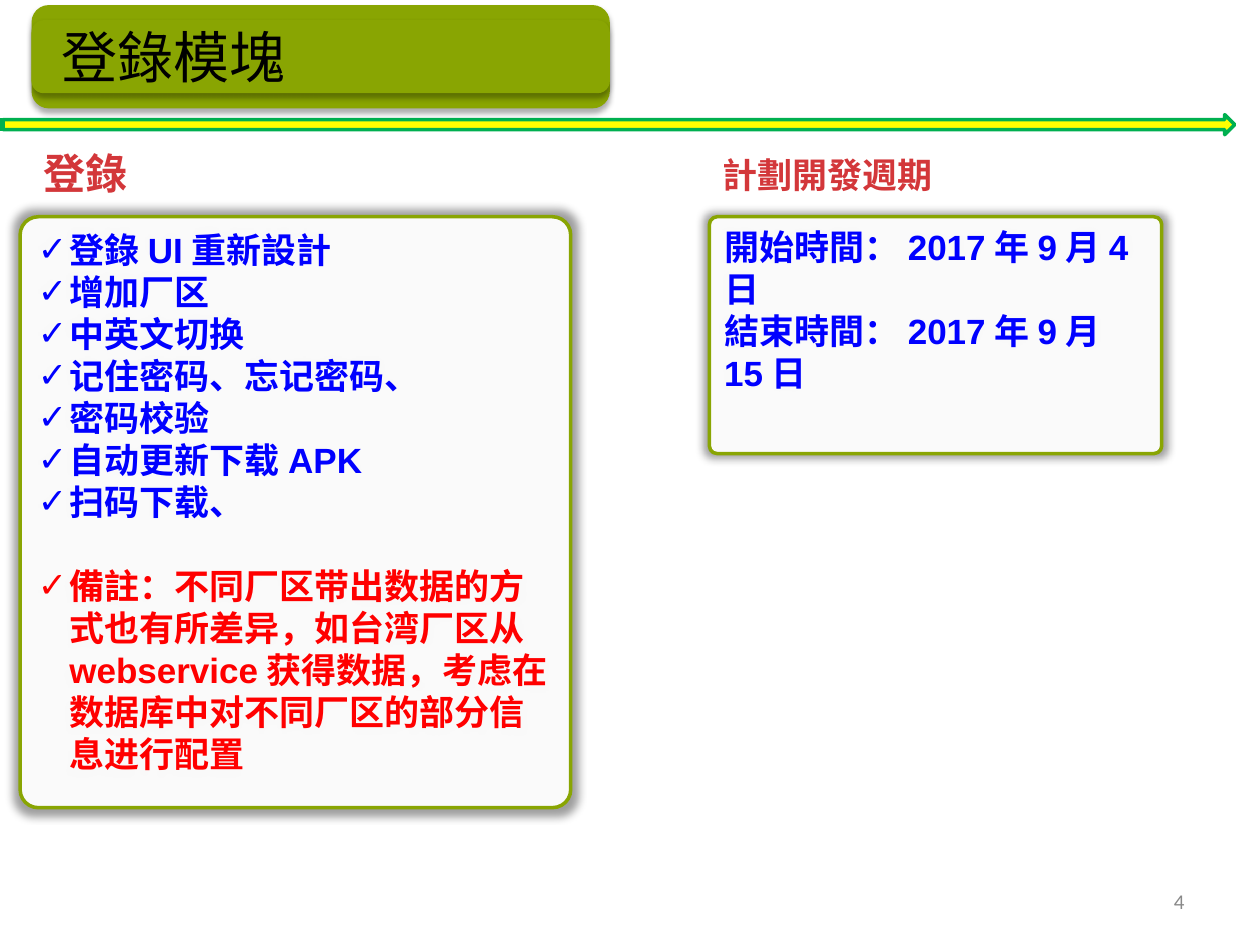
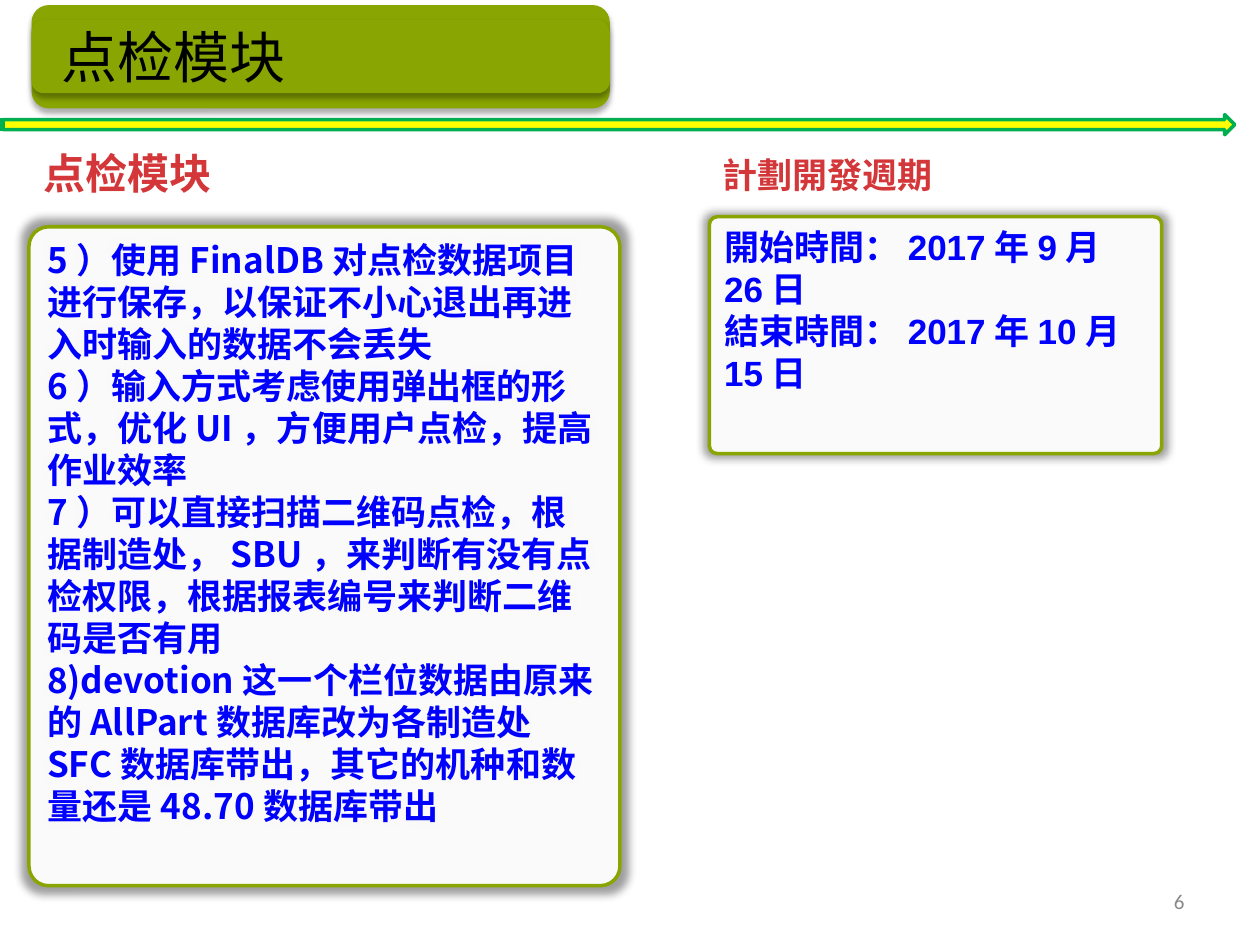
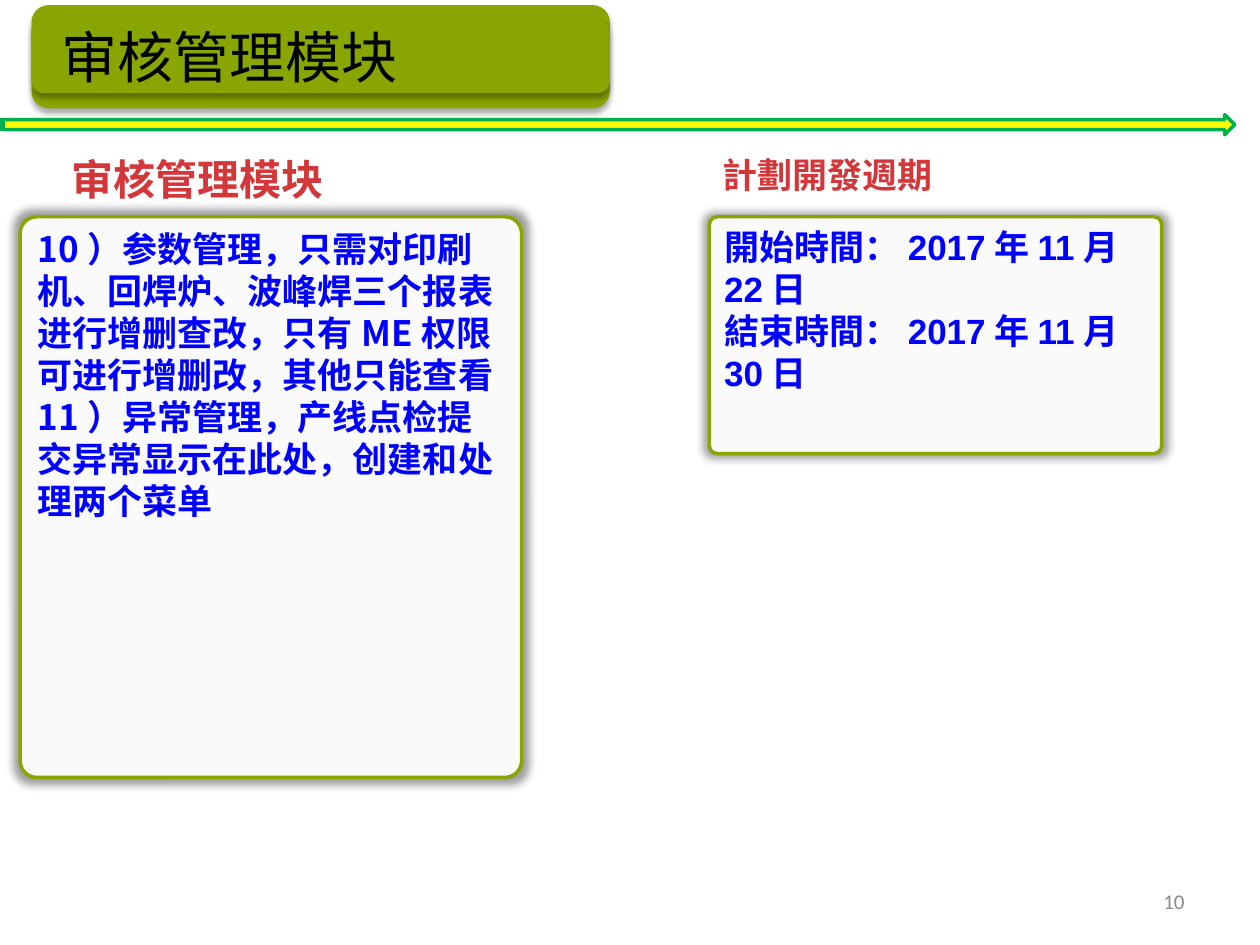
from lxml import etree
from pptx import Presentation
from pptx.dml.color import RGBColor
from pptx.enum.shapes import MSO_SHAPE
from pptx.enum.text import MSO_ANCHOR, PP_ALIGN
from pptx.oxml.ns import qn
from pptx.util import Inches, Pt

ROUND, ARROW = MSO_SHAPE.ROUNDED_RECTANGLE, MSO_SHAPE.STRIPED_RIGHT_ARROW
TOP, MIDDLE = MSO_ANCHOR.TOP, MSO_ANCHOR.MIDDLE
LEFT, CENTER, RIGHT = PP_ALIGN.LEFT, PP_ALIGN.CENTER, PP_ALIGN.RIGHT

WHITE = RGBColor(0xFF, 0xFF, 0xFF)
BLACK = RGBColor(0x00, 0x00, 0x00)
OLIVE = RGBColor(0x89, 0xA5, 0x02)
YELLOW = RGBColor(0xFF, 0xFF, 0x00)
GREEN = RGBColor(0x00, 0xB0, 0x50)
BLUE = RGBColor(0x00, 0x00, 0xFF)
RED = RGBColor(0xFF, 0x00, 0x00)
CRIMSON = RGBColor(0xD3, 0x37, 0x3A)
GREY = RGBColor(0x89, 0x89, 0x89)

SANS, CJK, SMALL = "Arial", "Noto Sans CJK SC", "Calibri"
PLAN = "計劃開發週期"

SLIDES = [
    {
        "title": "登錄模塊", "head": "登錄", "spot": (0.25, 1.12), "page": 4,
        "box": (0.16, 1.72, 4.37, 4.69), "font": SANS, "ticks": True,
        "lines": ["登錄UI重新設計", "增加厂区", "中英文切换", "记住密码、忘记密码、",
                  "密码校验", "自动更新下载APK", "扫码下载、"],
        "note": "備註：不同厂区带出数据的方式也有所差异，如台湾厂区从webservice获得数据，"
                "考虑在数据库中对不同厂区的部分信息进行配置",
        "dates": ("2017年9月4日", "2017年9月15日"),
    },
    {
        "title": "点检模块", "head": "点检模块", "spot": (0.25, 1.12), "page": 6,
        "box": (0.23, 1.8, 4.69, 5.23), "font": CJK,
        "lines": [
            "5）使用FinalDB对点检数据项目进行保存，以保证不小心退出再进入时输入的数据不会丢失",
            "6）输入方式考虑使用弹出框的形式，优化UI，方便用户点检，提高作业效率",
            "7）可以直接扫描二维码点检，根据制造处，SBU，来判断有没有点检权限，"
            "根据报表编号来判断二维码是否有用",
            "8)devotion这一个栏位数据由原来的AllPart数据库改为各制造处SFC数据库带出，"
            "其它的机种和数量还是48.70数据库带出",
        ],
        "dates": ("2017年9月26日", "2017年10月15日"),
    },
    {
        "title": "审核管理模块", "head": "审核管理模块", "spot": (0.47, 1.17), "page": 10,
        "box": (0.16, 1.72, 3.98, 4.45), "font": CJK,
        "lines": [
            "10）参数管理，只需对印刷机、回焊炉、波峰焊三个报表进行增删查改，"
            "只有ME权限可进行增删改，其他只能查看",
            "11）异常管理，产线点检提交异常显示在此处，创建和处理两个菜单",
        ],
        "dates": ("2017年11月22日", "2017年11月30日"),
    },
]


def add_node(parent, tag, **attrs):
    return etree.SubElement(parent, qn(tag), {k: str(v) for k, v in attrs.items()})


def style(para, size, color, font=SANS, bold=False, align=LEFT):
    para.alignment = align
    for run in para.runs:
        face = run.font
        face.size, face.bold, face.name = Pt(size), bold, font
        face.color.rgb = color
        add_node(run._r.get_or_add_rPr(), "a:ea", typeface=CJK)


def add_tick(para):
    """Give the paragraph a check mark and a hanging indent."""
    props = para._p.get_or_add_pPr()
    indent = Inches(0.25)
    props.set("marL", str(indent))
    props.set("indent", str(-indent))
    add_node(props, "a:buFont", typeface=SANS)
    add_node(props, "a:buChar", char="✓")


def add_shadow(shape, alpha, blur, dist=0, angle=0, scale=100):
    """Alpha and scale are percentages, blur and dist points, angle degrees."""
    shape.shadow.inherit = False
    effects = shape._element.spPr.find(qn("a:effectLst"))
    outer = add_node(effects, "a:outerShdw", blurRad=Pt(blur), dist=Pt(dist),
                     dir=angle * 60000, sx=scale * 1000, sy=scale * 1000,
                     algn="ctr", rotWithShape=0)
    color = add_node(outer, "a:srgbClr", val=BLACK)
    add_node(color, "a:alpha", val=alpha * 1000)


def add_form(shapes, kind, place, fill, line=None):
    shape = shapes.add_shape(kind, *map(Inches, place))
    shape.shadow.inherit = False
    shape.fill.solid()
    shape.fill.fore_color.rgb = fill
    if line is None:
        shape.line.fill.background()
    else:
        shape.line.color.rgb = line
        shape.line.width = Pt(2)
    return shape


def add_label(slide, place, text, size, color, wrap=True, anchor=TOP, **look):
    frame = slide.shapes.add_textbox(*map(Inches, place)).text_frame
    frame.word_wrap, frame.vertical_anchor = wrap, anchor
    frame.text = text
    style(frame.paragraphs[0], size, color, **look)


def add_head(slide, left, top, text, size, color, bold=False):
    """Add a one-line label just as wide as its square characters."""
    width = len(text) * size / 72 + 0.2
    add_label(slide, (left, top, width, size / 50), text, size, color,
              wrap=False, bold=bold)


def add_panel(slide, place, lines, font=SANS):
    panel = add_form(slide.shapes, ROUND, place, WHITE, OLIVE)
    panel.adjustments[0] = 0.033
    color = panel._element.spPr.find(qn("a:solidFill"))[0]
    add_node(color, "a:alpha", val=95000)
    add_shadow(panel, 40, 5, scale=102)
    frame = panel.text_frame
    frame.word_wrap, frame.vertical_anchor = True, TOP
    frame.text = "\n".join(lines)
    for para in frame.paragraphs:
        style(para, 20, BLUE, font, bold=True)
    return frame


def add_note(frame, text):
    """Add a red remark, set off by one line of space."""
    para = frame.add_paragraph()
    para.text = text
    para.space_before = Pt(24)
    style(para, 20, RED, bold=True)


def add_banner(slide, title):
    add_form(slide.shapes, ARROW, (0, 0.91, 9.8, 0.16), YELLOW, GREEN)
    group = slide.shapes.add_group_shape()
    for top, height in ((0.04, 0.82), (0.16, 0.58)):
        band = add_form(group.shapes, ROUND, (0.25, top, 4.59, height), OLIVE)
        add_shadow(band, 32, 3.5, 2.2, 90)
    add_head(slide, 0.39, 0.13, title, 32, BLACK)


def add_page(deck, data):
    slide = deck.slides.add_slide(deck.slide_layouts[6])
    add_banner(slide, data["title"])
    frame = add_panel(slide, data["box"], data["lines"], data["font"])
    if "note" in data:
        add_note(frame, data["note"])
    if data.get("ticks"):
        for para in frame.paragraphs:
            add_tick(para)
    add_head(slide, *data["spot"], data["head"], 24, CRIMSON, bold=True)
    start, end = data["dates"]
    add_panel(slide, (5.63, 1.72, 3.59, 1.88), [f"開始時間：{start}", f"結束時間：{end}"])
    add_label(slide, (5.63, 1.17, 1.88, 0.74), PLAN, 20, CRIMSON, bold=True, align=CENTER)
    add_label(slide, (7.17, 6.95, 2.33, 0.4), str(data["page"]), 12, GREY,
              anchor=MIDDLE, font=SMALL, align=RIGHT)


def main():
    deck = Presentation()
    deck.slide_width, deck.slide_height = Inches(10), Inches(7.5)
    for data in SLIDES:
        add_page(deck, data)
    deck.save("out.pptx")


if __name__ == "__main__":
    main()
